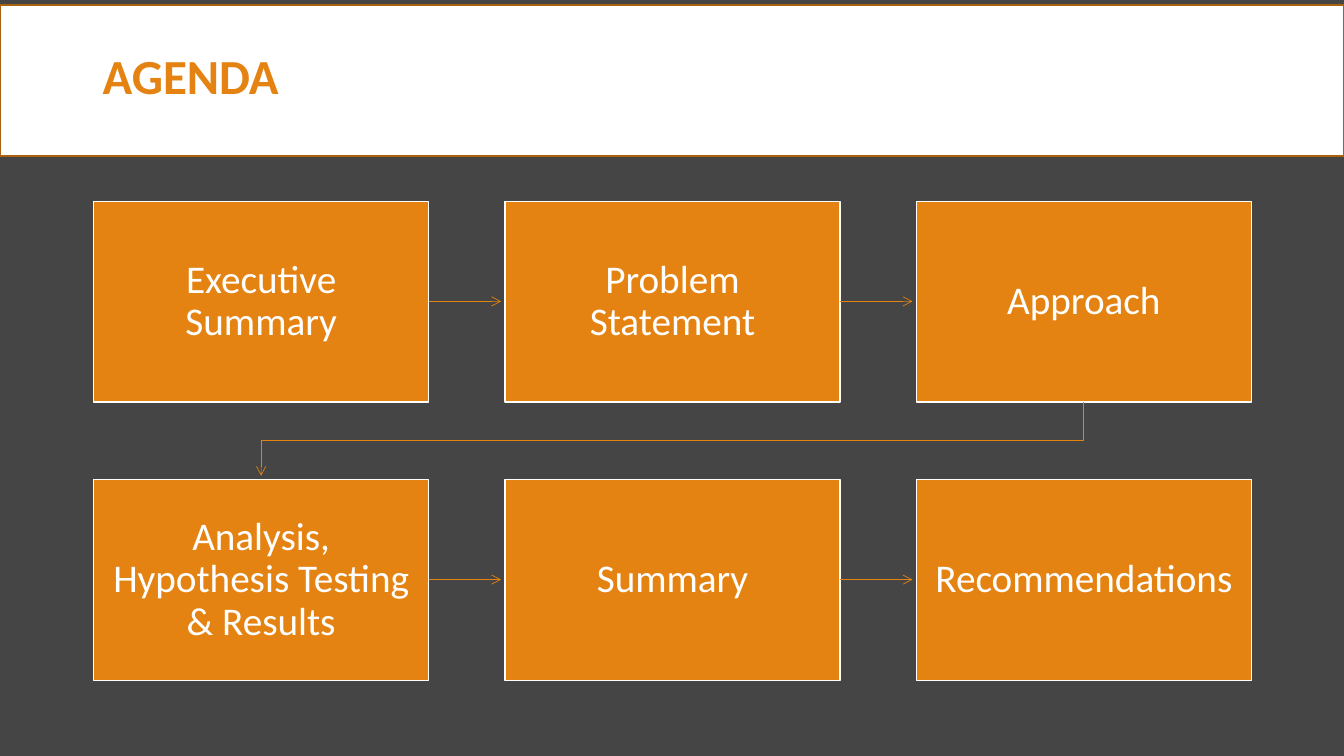
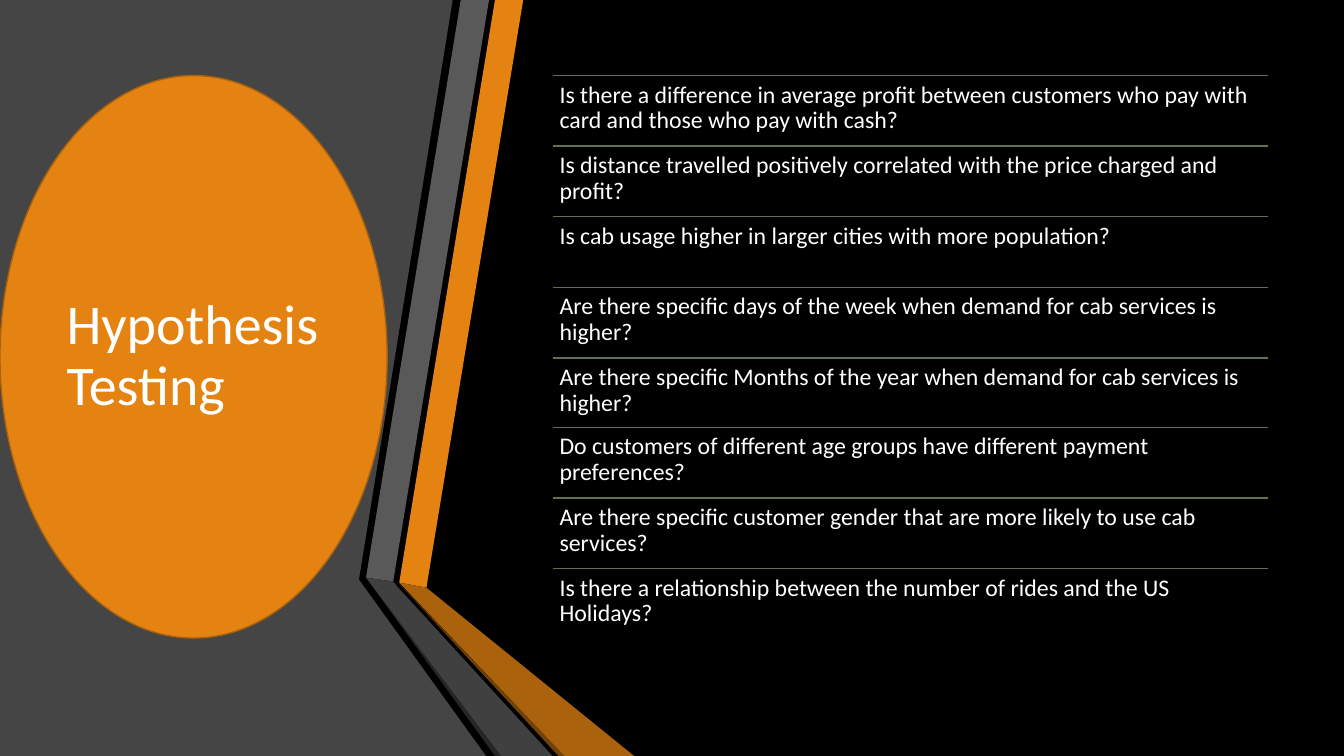
"""Builds an agenda slide and a hypothesis slide."""
from dataclasses import dataclass

from lxml import etree
from pptx import Presentation
from pptx import util as u
from pptx.dml.color import RGBColor
from pptx.enum import shapes, text
from pptx.oxml.ns import qn

PX = 9144
WIDE, HIGH = 1333, 750


@dataclass(frozen=True)
class Theme:
    """Colours, font and type sizes shared by the slides."""
    font: str = "Calibri"
    white: str = "FFFFFF"
    black: str = "000000"
    slate: str = "454545"
    orange: str = "E48312"
    rust: str = "A9610D"
    olive: str = "637052"
    title: int = 35
    hero: int = 40
    step: int = 28
    item: int = 17


T = Theme()

STEPS = [
    "Executive Summary", "Problem Statement", "Approach",
    "Analysis, Hypothesis Testing & Results", "Summary", "Recommendations",
]

ITEMS = [
    "Is there a difference in average profit between customers who pay with card and those who pay with cash?",
    "Is distance travelled positively correlated with the price charged and profit?",
    "Is cab usage higher in larger cities with more population?",
    "Are there specific days of the week when demand for cab services is higher?",
    "Are there specific Months of the year when demand for cab services is higher?",
    "Do customers of different age groups have different payment preferences?",
    "Are there specific customer gender that are more likely to use cab services?",
    "Is there a relationship between the number of rides and the US Holidays?",
]

FOLDS = [
    (T.slate, [(0, 0), (449, 0), (356, 575), (482, 750), (0, 750)]),
    (T.orange, [(396, 578), (423, 583), (519, 0), (491, 0)]),
    ("595959", [(485, 0), (457, 0), (363, 573), (390, 577)]),
    ("262626", [(363, 573), (491, 750), (497, 750)]),
    ("724209", [(396, 579), (554, 750), (560, 750)]),
    ("AB620D", [(396, 578), (560, 750), (629, 750), (423, 583)]),
    ("404040", [(363, 573), (497, 750), (548, 750), (395, 583), (390, 577)]),
]


def rgb(code):
    """Turn a hex code into a colour."""
    return RGBColor.from_string(code)


def px(*nums):
    """Turn px lengths into EMU."""
    return [u.Emu(n * PX) for n in nums]


def page(deck, back):
    """Add a blank slide with a plain background."""
    slide = deck.slides.add_slide(deck.slide_layouts[6])
    slide.background.fill.solid()
    slide.background.fill.fore_color.rgb = rgb(back)
    return slide


def paint(shape, fill=None, line=None, width=1):
    """Set the fill and line of a shape and drop its shadow."""
    shape.shadow.inherit = False
    if fill:
        shape.fill.solid()
        shape.fill.fore_color.rgb = rgb(fill)
    else:
        shape.fill.background()
    if line:
        shape.line.color.rgb = rgb(line)
        shape.line.width = u.Pt(width)
    else:
        shape.line.fill.background()


def write(shape, words, size, color=T.white, bold=False, center=False,
          middle=True, pad=(10, 5)):
    """Put one styled paragraph into a shape."""
    frame = shape.text_frame
    frame.word_wrap = True
    frame.vertical_anchor = text.MSO_ANCHOR.MIDDLE if middle else text.MSO_ANCHOR.TOP
    frame.margin_left, frame.margin_top = px(*pad)
    frame.margin_right, frame.margin_bottom = px(*pad)
    para = frame.paragraphs[0]
    para.text = words
    para.alignment = text.PP_ALIGN.CENTER if center else text.PP_ALIGN.LEFT
    para.line_spacing = 0.9
    font = para.font
    font.name, font.size, font.bold = T.font, u.Pt(size), bold
    font.color.rgb = rgb(color)


def block(slide, kind, area, fill, line):
    """Add a painted preset shape."""
    shape = slide.shapes.add_shape(kind, *px(*area))
    paint(shape, fill, line)
    return shape


def label(slide, area, words, size, **style):
    """Add a text box."""
    write(slide.shapes.add_textbox(*px(*area)), words, size, **style)


def trace(slide, points, close=True):
    """Add a freeform through the points."""
    pen = slide.shapes.build_freeform(*points[0], scale=PX)
    pen.add_line_segments(points[1:], close=close)
    return pen.convert_to_shape()


def rule(slide, start, end, color, width=1):
    """Add a straight line without a shadow."""
    line = slide.shapes.add_connector(
        shapes.MSO_CONNECTOR.STRAIGHT, *px(*start, *end))
    line.line.color.rgb = rgb(color)
    line.line.width = u.Pt(width)
    etree.SubElement(line._element.spPr, qn("a:effectLst"))
    return line


def tip(shape):
    """Put an open arrowhead at the end of a line."""
    etree.SubElement(shape.line._get_or_add_ln(), qn("a:tailEnd"), type="arrow")


def agenda(deck):
    """Build the agenda slide."""
    slide = page(deck, T.slate)
    rect = shapes.MSO_SHAPE.RECTANGLE
    block(slide, rect, (0, 5, WIDE, 150), T.white, T.rust)
    label(slide, (92, 5, 1150, 145), "AGENDA", T.title, color=T.orange, bold=True)

    left, top, wide, high = 93, 200, 332, 199
    across, down, gap, cols = 408, 276, 4, 3
    for i, words in enumerate(STEPS):
        row, col = divmod(i, cols)
        x, y = left + col * across, top + row * down
        box = block(slide, rect, (x, y, wide, high), T.orange, T.white)
        write(box, words, T.step, center=True, pad=(16, 17))
        if col < cols - 1:
            mid = y + high // 2
            tip(rule(slide, (x + wide, mid), (x + across - gap, mid), T.orange, 0.5))

    first = left + wide // 2
    last = first + (cols - 1) * across
    foot, head = top + high, top + down
    turn = (foot + head) // 2
    bend = trace(slide, [(last, foot), (last, turn), (first, turn),
                         (first, head - gap)], close=False)
    paint(bend, line=T.orange, width=0.5)
    tip(bend)


def tests(deck):
    """Build the hypothesis slide."""
    slide = page(deck, T.black)
    for fill, points in FOLDS:
        paint(trace(slide, points), fill)
    oval = block(slide, shapes.MSO_SHAPE.OVAL, (0, 75, 384, 558), T.orange, T.rust)
    write(oval, "Hypothesis Testing", T.hero)

    left, top, wide, span = 548, 75, 710, 559
    for i, words in enumerate(ITEMS):
        y = top + round(i * span / len(ITEMS))
        rule(slide, (left, y), (left + wide, y), T.olive)
        label(slide, (left, y, wide, 70), words, T.item, middle=False, pad=(7, 7))


def main():
    """Build and save the deck."""
    deck = Presentation()
    deck.slide_width, deck.slide_height = px(WIDE, HIGH)
    agenda(deck)
    tests(deck)
    deck.save("out.pptx")


if __name__ == "__main__":
    main()
